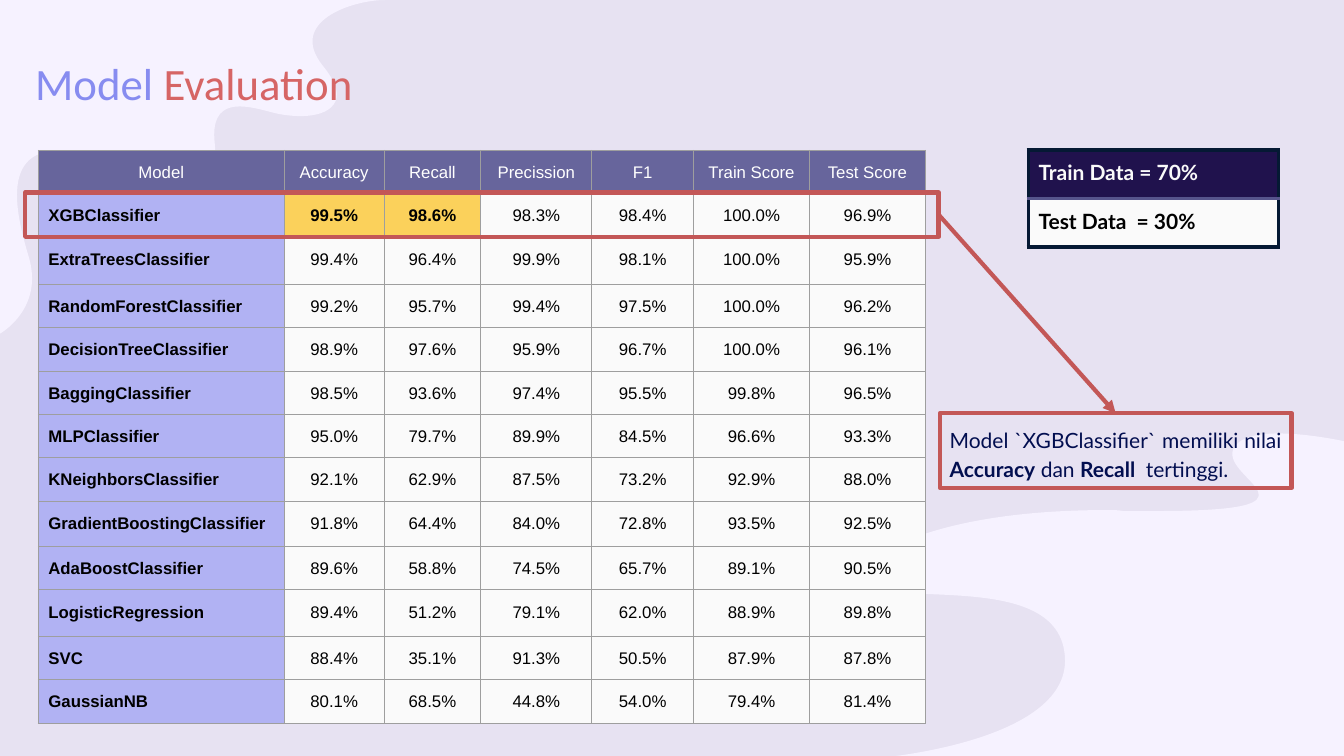
from typing import NamedTuple

from lxml.etree import SubElement
from pptx import Presentation
from pptx.dml.color import RGBColor
from pptx.enum.shapes import MSO_CONNECTOR, MSO_SHAPE
from pptx.enum.text import MSO_ANCHOR, MSO_AUTO_SIZE, PP_ALIGN
from pptx.oxml.ns import qn
from pptx.util import Inches, Pt

BACKDROP = RGBColor(0xE7, 0xE2, 0xF2)
PALE = RGBColor(0xF6, 0xF2, 0xFF)
PERIWINKLE = RGBColor(0x87, 0x8C, 0xF0)
CORAL = RGBColor(0xD6, 0x65, 0x65)
RED = RGBColor(0xC3, 0x57, 0x57)
HEADER = RGBColor(0x67, 0x65, 0x9C)
LILAC = RGBColor(0xB1, 0xB2, 0xF3)
GOLD = RGBColor(0xFB, 0xD1, 0x5B)
OFF_WHITE = RGBColor(0xFA, 0xFA, 0xFA)
WHITE = RGBColor(0xFF, 0xFF, 0xFF)
BLACK = RGBColor(0, 0, 0)
GREY = RGBColor(0x9E, 0x9E, 0x9E)
NAVY = RGBColor(0x05, 0x19, 0x34)
DIVIDER = RGBColor(0x56, 0x54, 0x8C)
INDIGO = RGBColor(0x20, 0x12, 0x4D)
CALLOUT_INK = RGBColor(0x02, 0x0E, 0x50)

INSET = 0.1


class Box(NamedTuple):
    left: float
    top: float
    width: float
    height: float

    def emu(self):
        return [Inches(length) for length in self]


SCORE_COLUMNS = [2.44, 0.99, 0.96, 1.1, 1.01, 1.15, 1.15]
SCORE_ROWS = [0.41, 0.41, 0.47, 0.39, 0.39, 0.41, 0.41,
              0.43, 0.45, 0.43, 0.46, 0.41, 0.41]
SCORES = [
    ("Model", "Accuracy", "Recall", "Precission", "F1", "Train Score", "Test Score"),
    ("XGBClassifier", 99.5, 98.6, 98.3, 98.4, 100.0, 96.9),
    ("ExtraTreesClassifier", 99.4, 96.4, 99.9, 98.1, 100.0, 95.9),
    ("RandomForestClassifier", 99.2, 95.7, 99.4, 97.5, 100.0, 96.2),
    ("DecisionTreeClassifier", 98.9, 97.6, 95.9, 96.7, 100.0, 96.1),
    ("BaggingClassifier", 98.5, 93.6, 97.4, 95.5, 99.8, 96.5),
    ("MLPClassifier", 95.0, 79.7, 89.9, 84.5, 96.6, 93.3),
    ("KNeighborsClassifier", 92.1, 62.9, 87.5, 73.2, 92.9, 88.0),
    ("GradientBoostingClassifier", 91.8, 64.4, 84.0, 72.8, 93.5, 92.5),
    ("AdaBoostClassifier", 89.6, 58.8, 74.5, 65.7, 89.1, 90.5),
    ("LogisticRegression", 89.4, 51.2, 79.1, 62.0, 88.9, 89.8),
    ("SVC", 88.4, 35.1, 91.3, 50.5, 87.9, 87.8),
    ("GaussianNB", 80.1, 68.5, 44.8, 54.0, 79.4, 81.4),
]
# Each blob is a start point, then segments: one point for a line, three for a curve.
TOP_LEFT_BLOB = [
    (0.28, 2.53), [(0.16, 2.12), (-0.05, 1.32), (0.84, 1.53)],
    [(1.75, 1.74), (2.18, 1.91), (2.13, 1.42)],
    [(2.08, 0.96), (2.42, 1.04), (2.68, 1.11)],
    [(2.89, 1.17), (3.25, 1.19), (3.33, 1)],
    [(3.36, 0.92), (3.33, 0.81), (3.2, 0.65)],
    [(2.85, 0.21), (3.5, 0), (3.82, 0)], [(0, 0)], [(0, 3.31)],
    [(0, 3.31), (0.45, 3.06), (0.28, 2.53)],
]
BOTTOM_RIGHT_BLOB = [
    (12.68, 4.3), [(12.47, 4.3), (12.28, 4.34), (12.23, 4.46)],
    [(12.12, 4.76), (13.26, 5.07), (11.46, 5.07)],
    [(11.36, 5.07), (11.26, 5.07), (11.14, 5.07)],
    [(11.09, 5.06), (11.04, 5.06), (10.99, 5.06)],
    [(8.88, 5.06), (8.42, 5.73), (8.42, 5.73)],
    [(8.67, 6.08), (10.47, 5.61), (10.56, 6.49)],
    [(10.66, 7.36), (8.71, 7.52), (8.71, 7.52)], [(13.39, 7.52)], [(13.39, 4.39)],
    [(13.39, 4.39), (13.01, 4.3), (12.68, 4.3)],
]


def bend_curves(blob, segments):
    """Turn the three lines drawn for each curve into one cubic curve."""
    lines = iter(list(blob._element.iter(qn("a:lnTo"))))
    for segment in segments:
        first, *others = [next(lines) for _ in segment]
        if others:
            first.tag = qn("a:cubicBezTo")
            for line in others:
                first.append(line[0])
                line.getparent().remove(line)


def add_blob(slide, outline):
    start, *segments = outline
    points = [point for segment in segments for point in segment]
    builder = slide.shapes.build_freeform(*map(Inches, start))
    builder.add_line_segments([(Inches(x), Inches(y)) for x, y in points], close=True)
    blob = builder.convert_to_shape()
    bend_curves(blob, segments)
    blob.shadow.inherit = False
    blob.fill.solid()
    blob.fill.fore_color.rgb = PALE
    blob.line.fill.background()


def set_insets(target):
    target.margin_left = target.margin_right = Inches(INSET)
    target.margin_top = target.margin_bottom = Inches(INSET)


def set_font(font, name, size, color, bold=False):
    font.name, font.size, font.bold = name, Pt(size), bold
    font.color.rgb = color


def set_growing_frame(frame):
    frame.word_wrap = True
    frame.auto_size = MSO_AUTO_SIZE.SHAPE_TO_FIT_TEXT
    frame.vertical_anchor = MSO_ANCHOR.TOP
    set_insets(frame)


def add_title(slide, box):
    frame = slide.shapes.add_textbox(*box.emu()).text_frame
    set_growing_frame(frame)
    for word, color in (("Model ", PERIWINKLE), ("Evaluation", CORAL)):
        run = frame.paragraphs[0].add_run()
        run.text = word
        set_font(run.font, "Calibri", 32, color)


def fill_cell(cell, text, fill, borders):
    """Borders are (colour, points) for left, right, top and bottom."""
    cell.text = text
    set_insets(cell)
    properties = cell._tc.get_or_add_tcPr()
    for side, (color, points) in zip(("lnL", "lnR", "lnT", "lnB"), borders):
        line = SubElement(properties, qn(f"a:{side}"), w=str(Pt(points)),
                          cap="flat", cmpd="sng")
        SubElement(SubElement(line, qn("a:solidFill")), qn("a:srgbClr"), val=str(color))
        SubElement(line, qn("a:prstDash"), val="solid")
    cell.fill.solid()
    cell.fill.fore_color.rgb = fill
    return cell.text_frame.paragraphs[0]


def add_grid(slide, box, columns, rows):
    table = slide.shapes.add_table(len(rows), len(columns), *box.emu()).table
    table.horz_banding = False
    for column, width in zip(table.columns, columns):
        column.width = Inches(width)
    for row, height in zip(table.rows, rows):
        row.height = Inches(height)
    return table


def add_scores(slide, box):
    table = add_grid(slide, box, SCORE_COLUMNS, SCORE_ROWS)
    for r, scores in enumerate(SCORES):
        for c, score in enumerate(scores):
            is_header, is_name = r == 0, c == 0
            is_best = r == 1 and c in (1, 2)
            fill = (HEADER if is_header else LILAC if is_name
                    else GOLD if is_best else OFF_WHITE)
            text = score if is_header or is_name else f"{score:.1f}%"
            paragraph = fill_cell(table.cell(r, c), text, fill, [(GREY, 0.75)] * 4)
            paragraph.line_spacing = 1.15
            if is_name and not is_header:
                paragraph.space_after = Pt(9)
            else:
                paragraph.alignment = PP_ALIGN.CENTER
            set_font(paragraph.font, "Arial", 12, WHITE if is_header else BLACK,
                     bold=not is_header and (is_name or is_best))


def add_split(slide, box):
    table = add_grid(slide, box, [box.width], [box.height / 2] * 2)
    edge, divider = (NAVY, 3), (DIVIDER, 3)
    parts = [("Train Data = 70%", INDIGO, OFF_WHITE, edge, divider),
             ("Test Data  = 30%", OFF_WHITE, BLACK, divider, edge)]
    for r, (text, fill, ink, top, bottom) in enumerate(parts):
        paragraph = fill_cell(table.cell(r, 0), text, fill, [edge, edge, top, bottom])
        set_font(paragraph.font, "Lato", 15, ink, bold=True)


def add_red_frame(slide, box):
    frame = slide.shapes.add_shape(MSO_SHAPE.RECTANGLE, *box.emu())
    frame.shadow.inherit = False
    frame.fill.background()
    frame.line.color.rgb = RED
    frame.line.width = Pt(3)
    return frame


def add_callout(slide, box):
    callout = add_red_frame(slide, box)
    set_growing_frame(callout.text_frame)
    paragraph = callout.text_frame.paragraphs[0]
    paragraph.alignment = PP_ALIGN.JUSTIFY
    paragraph.line_spacing = 1.15
    for text, bold in (("Model `XGBClassifier` memiliki nilai ", False), ("Accuracy", True),
                       (" dan ", False), ("Recall ", True), (" tertinggi.", False)):
        run = paragraph.add_run()
        run.text = text
        set_font(run.font, "Lato", 15, CALLOUT_INK, bold)
    return callout


def add_arrow(slide, highlight, callout):
    arrow = slide.shapes.add_connector(MSO_CONNECTOR.STRAIGHT, 0, 0, 0, 0)
    arrow.begin_connect(highlight, 3)
    arrow.end_connect(callout, 0)
    arrow.line.color.rgb = RED
    arrow.line.width = Pt(3)
    SubElement(arrow.line._get_or_add_ln(), qn("a:tailEnd"), type="triangle")
    SubElement(arrow._element.spPr, qn("a:effectLst"))


def main():
    deck = Presentation()
    deck.slide_width, deck.slide_height = Inches(13.33), Inches(7.5)
    slide = deck.slides.add_slide(deck.slide_layouts[6])
    slide.background.fill.solid()
    slide.background.fill.fore_color.rgb = BACKDROP
    for outline in (TOP_LEFT_BLOB, BOTTOM_RIGHT_BLOB):
        add_blob(slide, outline)

    scores = Box(0.38, 1.49, sum(SCORE_COLUMNS), sum(SCORE_ROWS))
    overhang = 0.13
    best_row = Box(scores.left - overhang, scores.top + 0.42,
                   scores.width + 2 * overhang, 0.44)
    add_title(slide, Box(0.25, 0.45, 6.28, 0.74))
    add_scores(slide, scores)
    add_split(slide, Box(10.2, scores.top, 2.48, 0.96))
    callout = add_callout(slide, Box(9.32, 4.1, 3.49, 0.74))
    highlight = add_red_frame(slide, best_row)
    add_arrow(slide, highlight, callout)
    deck.save("out.pptx")


if __name__ == "__main__":
    main()
